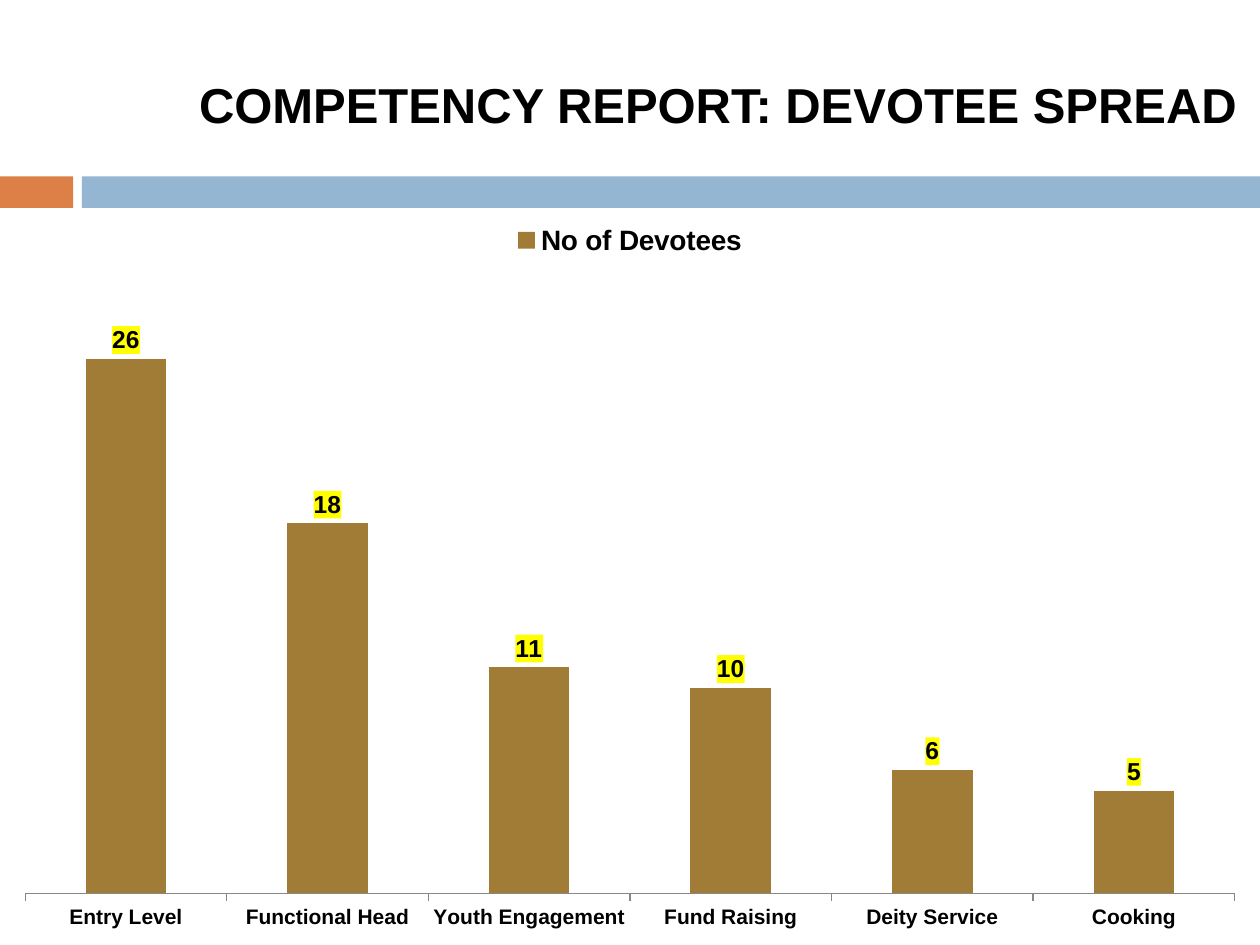
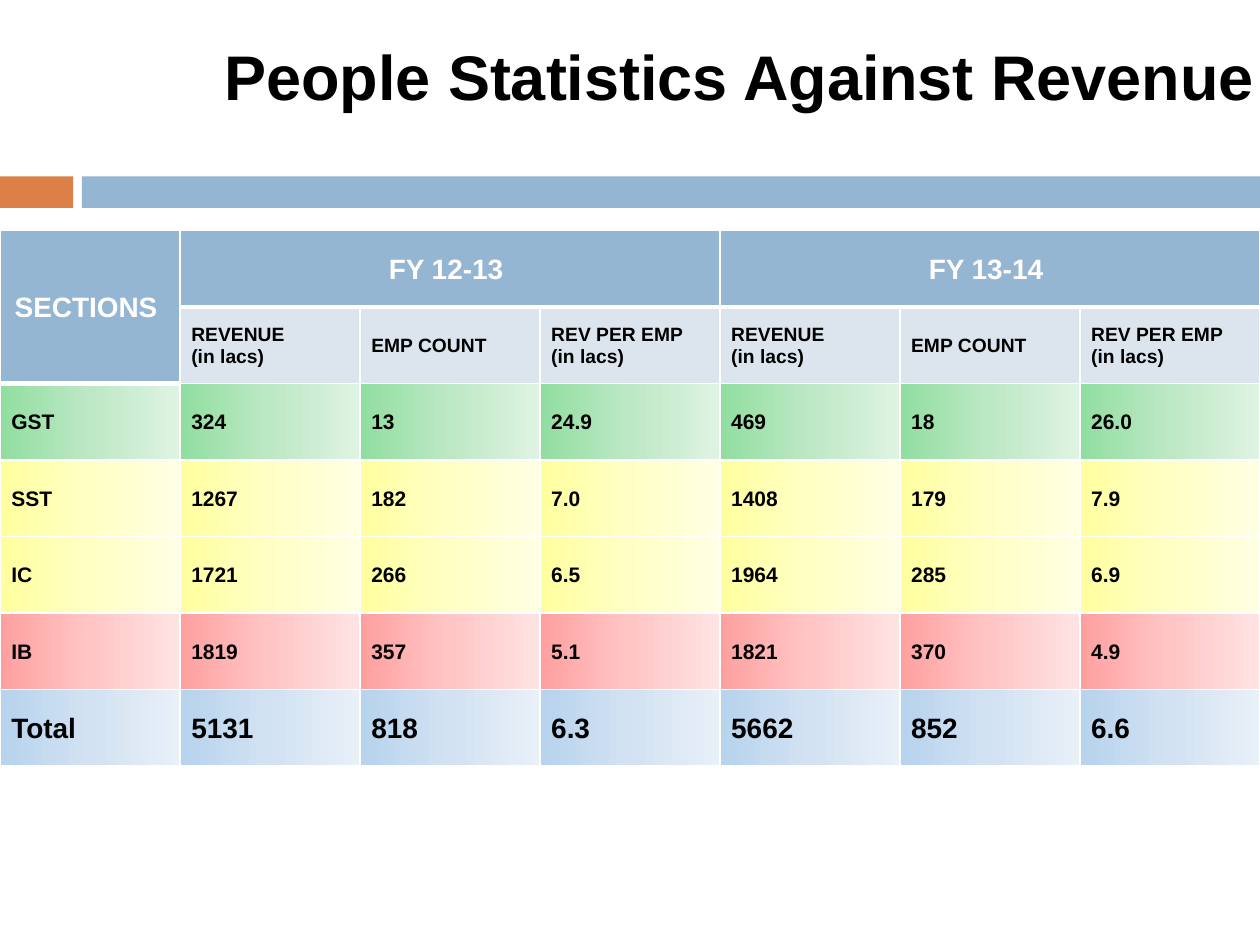
from dataclasses import dataclass

from lxml.etree import SubElement
from pptx import Presentation
from pptx.chart.data import CategoryChartData
from pptx.dml.color import RGBColor
from pptx.enum.chart import XL_CHART_TYPE, XL_LABEL_POSITION, XL_LEGEND_POSITION, XL_TICK_LABEL_POSITION, XL_TICK_MARK
from pptx.enum.shapes import MSO_SHAPE
from pptx.enum.text import MSO_ANCHOR, MSO_AUTO_SIZE, PP_ALIGN
from pptx.oxml import parse_xml
from pptx.oxml.ns import nsdecls, qn
from pptx.util import Inches, Pt

FONT, CHART_FONT = "Arial", "Cabin"
BLACK, WHITE, BLUE, ORANGE = "000000", "FFFFFF", "94B6D2", "DD8047"
BRONZE, YELLOW, PALE_BLUE, GREY = "A17C36", "FFFF00", "DCE5EE", "878787"

GREEN_FADE = ("91DEA0", "BDE8C5", "DFF3E3")
YELLOW_FADE = ("FFFFA0", "FFFFC5", "FFFFE3")
RED_FADE = ("FFA0A0", "FFC5C5", "FFE3E3")
BLUE_FADE = ("B7D3ED", "D2E2F2", "E8F0F8")


@dataclass
class Band:
    left: float
    width: float
    color: str


@dataclass
class Title:
    text: str
    left: float
    top: float
    width: float
    height: float
    size: int


@dataclass
class SectionRow:
    values: tuple
    fade: tuple
    size: int = 12


BANDS = (Band(0, 0.58, ORANGE), Band(0.65, 9.35, BLUE))

DEVOTEES = {"Entry Level": 26, "Functional Head": 18, "Youth Engagement": 11,
            "Fund Raising": 10, "Deity Service": 6, "Cooking": 5}

YEARS = ("FY 12-13 ", "FY 13-14 ")
MEASURES = (("REVENUE", "(in lacs)"), ("EMP COUNT",), ("REV PER EMP", "(in lacs)"))
SECTION_ROWS = (
    SectionRow(("GST", "324", "13", "24.9", "469", "18", "26.0"), GREEN_FADE),
    SectionRow(("SST", "1267", "182", "7.0", "1408", "179", "7.9"), YELLOW_FADE),
    SectionRow(("IC", "1721", "266", "6.5", "1964", "285", "6.9"), YELLOW_FADE),
    SectionRow(("IB", "1819", "357", "5.1", "1821", "370", "4.9"), RED_FADE),
    SectionRow(("Total", "5131", "818", "6.3", "5662", "852", "6.6"), BLUE_FADE, 16),
)


def rgb(color: str) -> RGBColor:
    return RGBColor.from_string(color)


def set_font(font, size: int, color: str = BLACK) -> None:
    font.name, font.size, font.bold = FONT, Pt(size), True
    font.color.rgb = rgb(color)


def add_slide(prs, title: Title):
    """Add a slide with the shared bands and a formatted title."""
    s = prs.slides.add_slide(prs.slide_layouts[5])
    for band in BANDS:
        sp = s.shapes.add_shape(MSO_SHAPE.RECTANGLE, Inches(band.left), Inches(1.4),
                                Inches(band.width), Inches(0.25))
        sp.shadow.inherit = False
        sp.fill.solid()
        sp.fill.fore_color.rgb = rgb(band.color)
        sp.line.fill.background()
    sp = s.shapes.title
    sp.left, sp.top = Inches(title.left), Inches(title.top)
    sp.width, sp.height = Inches(title.width), Inches(title.height)
    tf = sp.text_frame
    tf.word_wrap, tf.auto_size = False, MSO_AUTO_SIZE.SHAPE_TO_FIT_TEXT
    tf.vertical_anchor = MSO_ANCHOR.TOP
    p = tf.paragraphs[0]
    p.alignment = PP_ALIGN.LEFT
    r = p.add_run()
    r.text = title.text
    set_font(r.font, title.size)
    return s


def add_devotee_chart(s) -> None:
    data = CategoryChartData()
    data.categories = list(DEVOTEES)
    data.add_series("No of Devotees", list(DEVOTEES.values()))
    chart = s.shapes.add_chart(XL_CHART_TYPE.COLUMN_CLUSTERED, Inches(0), Inches(1.67),
                               Inches(10), Inches(5.83), data).chart
    chart.has_title = False
    chart.font.name, chart.font.size = CHART_FONT, Pt(18)
    chart.font.color.rgb = rgb(BLACK)
    chart.has_legend = True
    chart.legend.position = XL_LEGEND_POSITION.TOP
    chart.legend.include_in_layout = False
    set_font(chart.legend.font, 16)

    axis = chart.category_axis
    axis.major_tick_mark = XL_TICK_MARK.OUTSIDE
    axis.tick_label_position = XL_TICK_LABEL_POSITION.LOW
    axis.format.line.color.rgb = rgb(GREY)
    set_font(axis.tick_labels.font, 12)
    values = chart.value_axis
    values.visible = values.has_major_gridlines = False
    values.minimum_scale, values.maximum_scale = 0, 30

    plot = chart.plots[0]
    plot.gap_width, plot.vary_by_categories = 150, False
    fill = plot.series[0].format.fill
    fill.solid()
    fill.fore_color.rgb = rgb(BRONZE)
    labels = plot.series[0].data_labels
    labels.show_value = True
    labels.position = XL_LABEL_POSITION.OUTSIDE_END
    set_font(labels.font, 14)
    labels.font._element.getparent().getparent().getparent().addprevious(parse_xml(
        f'<c:spPr {nsdecls("c", "a")}><a:solidFill><a:srgbClr val="{YELLOW}"/>'
        '</a:solidFill></c:spPr>'))
    set_plot_area(chart, x=0.02, y=0.09, w=0.96, h=0.84)


def set_plot_area(chart, **fractions: float) -> None:
    plot_area = chart._chartSpace.chart.plotArea
    for old in plot_area.findall(qn("c:layout")):
        plot_area.remove(old)
    layout = parse_xml(f'<c:layout {nsdecls("c")}><c:manualLayout/></c:layout>')
    settings = {"layoutTarget": "inner", "xMode": "edge", "yMode": "edge", **fractions}
    for tag, value in settings.items():
        SubElement(layout[0], qn(f"c:{tag}"), val=str(value))
    plot_area.insert(0, layout)


def set_borders(cell, top: int = 1, bottom: int = 1) -> None:
    tc_pr = cell._tc.get_or_add_tcPr()
    for side, width in (("L", 1), ("R", 1), ("T", top), ("B", bottom)):
        tc_pr.append(parse_xml(
            f'<a:ln{side} {nsdecls("a")} w="{Pt(width)}"><a:solidFill>'
            f'<a:srgbClr val="{WHITE}"/></a:solidFill></a:ln{side}>'))


def fill_cell(cell, colors: tuple) -> None:
    """Fill with one colour, or with a left-to-right gradient of several."""
    if len(colors) == 1:
        cell.fill.solid()
        cell.fill.fore_color.rgb = rgb(colors[0])
        return
    step = 100000 // (len(colors) - 1)
    stops = "".join(f'<a:gs pos="{i * step}"><a:srgbClr val="{color}"/></a:gs>'
                    for i, color in enumerate(colors))
    cell._tc.get_or_add_tcPr().append(parse_xml(
        f'<a:gradFill {nsdecls("a")} rotWithShape="1"><a:gsLst>{stops}</a:gsLst>'
        '<a:lin ang="0" scaled="0"/></a:gradFill>'))


def write_cell(cell, lines: tuple, size: int, color: str = BLACK, centred: bool = False) -> None:
    cell.vertical_anchor = MSO_ANCHOR.MIDDLE
    cell.margin_left = Inches(0.01 if centred else 0.09)
    cell.margin_top = cell.margin_right = Inches(0.01)
    cell.margin_bottom = Inches(0)
    tf = cell.text_frame
    for i, line in enumerate(lines):
        p = tf.add_paragraph() if i else tf.paragraphs[0]
        p.alignment = PP_ALIGN.CENTER if centred else PP_ALIGN.LEFT
        r = p.add_run()
        r.text = line
        set_font(r.font, size, color)


def add_revenue_table(s) -> None:
    n_rows, n_cols = 2 + len(SECTION_ROWS), 1 + len(YEARS) * len(MEASURES)
    table = s.shapes.add_table(n_rows, n_cols, Inches(0), Inches(1.83),
                               Inches(10), Inches(4.25)).table
    table.first_row = table.horz_banding = False
    for column in table.columns:
        column.width = Inches(10 / n_cols)
    for row in table.rows:
        row.height = Inches(4.25 / n_rows)

    for row in range(n_rows):
        for col in range(n_cols):
            header_end = 1 if col == 0 else 0
            cell = table.cell(row, col)
            set_borders(cell, top=3 if row == header_end + 1 else 1,
                        bottom=3 if row <= header_end else 1)
            if row <= header_end:
                fill_cell(cell, (BLUE,))
            elif row == 1:
                fill_cell(cell, (PALE_BLUE,))
                write_cell(cell, MEASURES[(col - 1) % len(MEASURES)], 11)
            else:
                section = SECTION_ROWS[row - 2]
                fill_cell(cell, section.fade)
                write_cell(cell, (section.values[col],), section.size)

    table.cell(0, 0).merge(table.cell(1, 0))
    write_cell(table.cell(0, 0), ("SECTIONS ",), 16, WHITE, centred=True)
    for i, year in enumerate(YEARS):
        first = 1 + i * len(MEASURES)
        table.cell(0, first).merge(table.cell(0, first + len(MEASURES) - 1))
        write_cell(table.cell(0, first), (year,), 16, WHITE, centred=True)


def main() -> None:
    prs = Presentation()
    prs.slide_width, prs.slide_height = Inches(10), Inches(7.5)
    add_devotee_chart(add_slide(prs, Title(
        "COMPETENCY REPORT: DEVOTEE SPREAD", 1.48, 0.54, 8.52, 0.57, 28)))
    add_revenue_table(add_slide(prs, Title(
        "People Statistics Against Revenue", 1.68, 0.25, 8.46, 0.71, 36)))
    prs.save("out.pptx")


if __name__ == "__main__":
    main()
